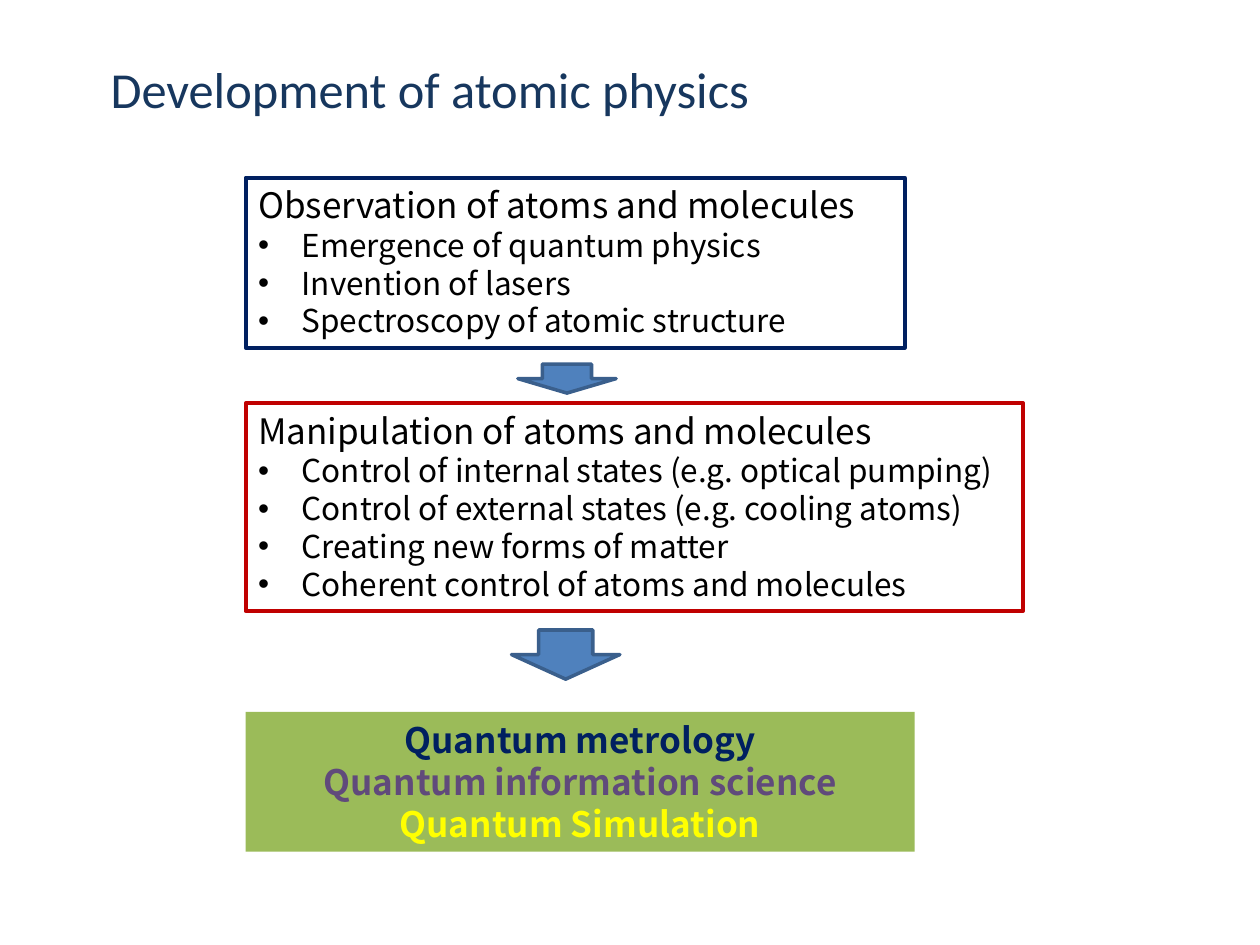
from dataclasses import dataclass

from lxml import etree
from pptx import Presentation
from pptx.dml.color import RGBColor
from pptx.enum.shapes import MSO_SHAPE
from pptx.enum.text import MSO_ANCHOR, PP_ALIGN
from pptx.oxml.ns import qn
from pptx.util import Inches, Pt

RECTANGLE = MSO_SHAPE.RECTANGLE
DOWN_ARROW = MSO_SHAPE.DOWN_ARROW
TOP, MIDDLE = MSO_ANCHOR.TOP, MSO_ANCHOR.MIDDLE
LEFT, CENTER = PP_ALIGN.LEFT, PP_ALIGN.CENTER


@dataclass(frozen=True)
class Theme:
    title_font: str = "Calibri"
    body_font: str = "Noto Sans CJK KR"
    title_size: float = 28.8
    heading_size: float = 20
    item_size: float = 18
    leading: float = 1.2
    title: str = "17375E"
    text: str = "000000"
    navy: str = "002060"
    red: str = "C00000"
    green: str = "9BBB59"
    purple: str = "604A7B"
    yellow: str = "FFFF00"
    arrow: str = "4F81BD"
    arrow_edge: str = "3A5F8C"


def write(paragraph, text, *, font, size, color, bold=False, align=LEFT,
          leading=None, bullet=False):
    if bullet:
        properties = paragraph._p.get_or_add_pPr()
        properties.set("marL", str(Inches(0.29)))
        properties.set("indent", str(-Inches(0.29)))
        etree.SubElement(properties, qn("a:buFont"), typeface="Arial")
        etree.SubElement(properties, qn("a:buChar"), char="•")
    paragraph.alignment = align
    if leading:
        paragraph.line_spacing = Pt(size * leading)
    run = paragraph.add_run()
    run.text = text
    run.font.name = font
    run.font.size = Pt(size)
    run.font.bold = bold
    run.font.color.rgb = RGBColor.from_string(color)


class SlideBuilder:
    def __init__(self, slide, theme):
        self.slide = slide
        self.theme = theme

    def title(self, text, box):
        frame = self.slide.shapes.add_textbox(*map(Inches, box)).text_frame
        frame.word_wrap = True
        frame.vertical_anchor = MIDDLE
        write(frame.paragraphs[0], text, font=self.theme.title_font,
              size=self.theme.title_size, color=self.theme.title)

    def shape(self, kind, box, fill=None, line=None, weight=2.25):
        shape = self.slide.shapes.add_shape(kind, *map(Inches, box))
        shape.shadow.inherit = False
        if fill:
            shape.fill.solid()
            shape.fill.fore_color.rgb = RGBColor.from_string(fill)
        else:
            shape.fill.background()
        if line:
            shape.line.color.rgb = RGBColor.from_string(line)
            shape.line.width = Pt(weight)
        else:
            shape.line.fill.background()
        return shape

    def panel(self, box, lines, fill=None, line=None):
        frame = self.shape(RECTANGLE, box, fill, line).text_frame
        frame.word_wrap = True
        frame.vertical_anchor = TOP
        for index, (text, style) in enumerate(lines):
            paragraph = frame.add_paragraph() if index else frame.paragraphs[0]
            write(paragraph, text, font=self.theme.body_font,
                  leading=self.theme.leading, **style)

    def stage(self, box, heading, items, edge):
        heading_style = dict(size=self.theme.heading_size, color=self.theme.text)
        item_style = dict(size=self.theme.item_size, color=self.theme.text, bullet=True)
        lines = [(heading, heading_style)]
        lines += [(" " + item, item_style) for item in items]
        self.panel(box, lines, line=edge)

    def outcomes(self, box, topics):
        lines = [(topic, dict(size=self.theme.heading_size, color=color,
                              bold=True, align=CENTER)) for topic, color in topics]
        self.panel(box, lines, fill=self.theme.green)

    def arrow(self, box):
        self.shape(DOWN_ARROW, box, self.theme.arrow, self.theme.arrow_edge, 2)


def main():
    presentation = Presentation()
    presentation.slide_width = Inches(10)
    presentation.slide_height = Inches(7.5)
    theme = Theme()
    builder = SlideBuilder(
        presentation.slides.add_slide(presentation.slide_layouts[6]), theme)
    flow_left = 1.95

    builder.title("Development of atomic physics", (0.78, 0.39, 8.67, 0.63))
    builder.stage(
        (flow_left, 1.41, 5.23, 1.35), "Observation of atoms and molecules",
        ["Emergence of quantum physics", "Invention of lasers",
         "Spectroscopy of atomic structure"], theme.navy)
    builder.stage(
        (flow_left, 3.2, 6.17, 1.65), "Manipulation of atoms and molecules",
        ["Control of internal states (e.g. optical pumping)",
         "Control of external states (e.g. cooling atoms)",
         "Creating new forms of matter",
         "Coherent control of atoms and molecules"], theme.red)
    builder.outcomes(
        (flow_left, 5.65, 5.31, 1.11),
        [("Quantum metrology", theme.navy),
         ("Quantum information science", theme.purple),
         ("Quantum Simulation", theme.yellow)])
    builder.arrow((4.11, 2.89, 0.78, 0.23))
    builder.arrow((4.06, 5, 0.86, 0.39))

    presentation.save("out.pptx")


if __name__ == "__main__":
    main()
